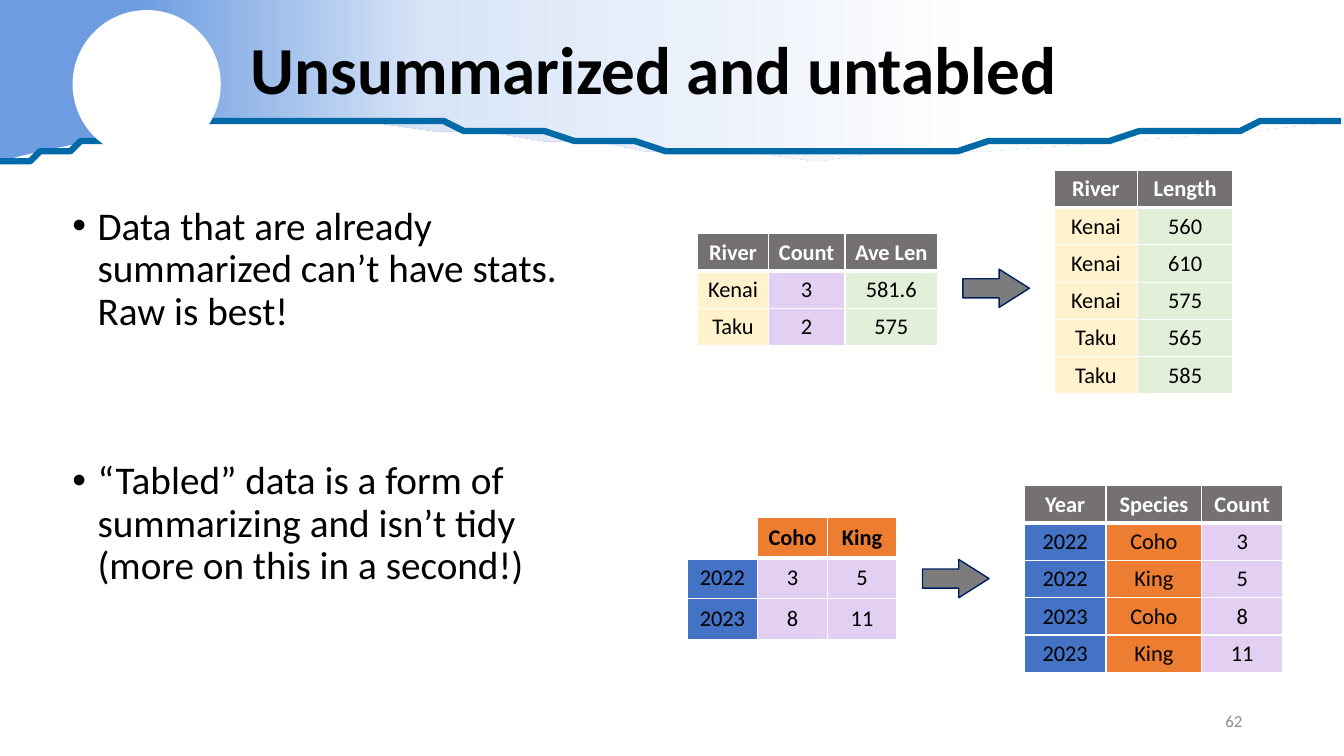
from lxml import etree
from pptx import Presentation
from pptx.dml.color import RGBColor
from pptx.enum.shapes import MSO_SHAPE
from pptx.enum.text import MSO_ANCHOR, PP_ALIGN
from pptx.oxml.ns import qn
from pptx.util import Inches, Pt

ELLIPSE, ARROW = MSO_SHAPE.OVAL, MSO_SHAPE.RIGHT_ARROW
MIDDLE, TOP = MSO_ANCHOR.MIDDLE, MSO_ANCHOR.TOP
LEFT, CENTER, RIGHT = PP_ALIGN.LEFT, PP_ALIGN.CENTER, PP_ALIGN.RIGHT

# Grid of square cells: 133.3 columns by 75 rows
COLS, ROWS = 133.3, 75
CELL = Inches(0.1)
ROW_H = 3.7

BLACK, WHITE, GRAY = "000000", "FFFFFF", "767171"
BLUE, ORANGE, PURPLE = "4472C4", "ED7D31", "E2CFF1"
CREAM, GREEN = "FFF2CC", "E2F0D9"

# Lower edge of the header band, right to left
BAND_EDGE = [
    (133.3, 12), (123.8, 12.9), (111.1, 13.9), (98.2, 14.7), (87.6, 15.3),
    (80.8, 15.5), (74.2, 15.4), (69.2, 15.2), (64, 14.8), (59.1, 14.4),
    (54.3, 13.8), (48.1, 13.2), (43, 12.8), (35.8, 12.1), (32.6, 11.9),
    (28.8, 11.9), (22.8, 12.1), (19, 12.5), (13.6, 13.2), (8.6, 14.2),
    (4.4, 15.1), (0, 16.5)]
# Bezier segments of the wave: start, two controls, end
WAVE = [
    [(0, 16.4), (7.5, 14.4), (15.5, 11.8), (28.7, 11.6)],
    [(28.7, 11.6), (41.9, 11.4), (61.5, 15.1), (79, 15.1)],
    [(79, 15.1), (96.4, 15.2), (133.3, 11.7), (133.3, 11.7)]]


def rgb(color):
    return RGBColor.from_string(color)


def grid(*cells):
    return [int(c * CELL) for c in cells]


def sub(parent, tag, **attrs):
    return etree.SubElement(parent, qn(tag), attrs)


def add_text(tf, text, size=16, color=BLACK, bold=False, align=LEFT,
             bullet=False, before=0, spacing=None, new=False):
    p = tf.add_paragraph() if new else tf.paragraphs[0]
    p.alignment = align
    p.space_before = Pt(before)
    if spacing:
        p.line_spacing = spacing
    if bullet:
        pPr = p._p.get_or_add_pPr()
        pPr.set("marL", str(Inches(0.25)))
        pPr.set("indent", str(-Inches(0.25)))
        sub(pPr, "a:buFont", typeface="Arial")
        sub(pPr, "a:buChar", char="•")
    r = p.add_run()
    r.text = text
    r.font.name, r.font.size, r.font.bold = "Calibri", Pt(size), bold
    r.font.color.rgb = rgb(color)


def add_box(s, box, anchor=TOP):
    tf = s.shapes.add_textbox(*grid(*box)).text_frame
    tf.word_wrap = True
    tf.vertical_anchor = anchor
    return tf


def style(sp, fill=None, line=None, width=1):
    sp.shadow.inherit = False
    if fill:
        sp.fill.solid()
        sp.fill.fore_color.rgb = rgb(fill)
    else:
        sp.fill.background()
    if line:
        sp.line.color.rgb = rgb(line)
        sp.line.width = Pt(width)
    else:
        sp.line.fill.background()


def add_outline(s, points, close):
    fb = s.shapes.build_freeform(*points[0], scale=CELL)
    fb.add_line_segments(points[1:], close=close)
    return fb.convert_to_shape()


def bezier(a, b, c, d, steps=24):
    for i in range(steps + 1):
        t = i / steps
        u = 1 - t
        yield tuple(u**3 * w + 3 * u * u * t * x + 3 * u * t * t * y + t**3 * z
                    for w, x, y, z in zip(a, b, c, d))


def add_header(s):
    # Band fading from blue to white
    band = add_outline(s, [(0, 0), (COLS, 0)] + BAND_EDGE, True)
    style(band)
    band.fill.gradient()
    band.fill.gradient_angle = 0
    stops = band._element.spPr.find(".//" + qn("a:gsLst"))
    for stop in list(stops):
        stops.remove(stop)
    for share, color in ((10, "6D9CE1"), (32, "D9E5F7"), (74, WHITE)):
        gs = sub(stops, "a:gs", pos=str(share * 1000))
        sub(gs, "a:srgbClr", val=color)
    # Wave line and disc
    points = [pt for segment in WAVE for pt in bezier(*segment)]
    style(add_outline(s, points, False), line="0069A8", width=4.5)
    style(s.shapes.add_shape(ELLIPSE, *grid(7.2, 1, 14.7, 14.7)), WHITE)


def add_borders(cell, bottom):
    tcPr = cell._tc.get_or_add_tcPr()
    for side, width in (("L", 1), ("R", 1), ("T", 1), ("B", bottom)):
        ln = sub(tcPr, "a:ln" + side, w=str(Pt(width)))
        sub(sub(ln, "a:solidFill"), "a:srgbClr", val=WHITE)


def add_data_table(s, left, top, widths, rows, fills, head=GRAY,
                   head_color=WHITE, row_h=ROW_H):
    box = grid(left, top, sum(widths), row_h * len(rows))
    tbl = s.shapes.add_table(len(rows), len(widths), *box).table
    tbl.first_row = tbl.horz_banding = False
    for col, width in zip(tbl.columns, grid(*widths)):
        col.width = width
    for i, row in enumerate(rows):
        tbl.rows[i].height = grid(row_h)[0]
        for j, text in enumerate(row):
            cell = tbl.cell(i, j)
            cell.vertical_anchor = MIDDLE
            cell.margin_left = cell.margin_right = Inches(0.05)
            add_borders(cell, 1 if i else 3)
            cell.fill.solid()
            fill = fills[j] if i else head
            cell.fill.fore_color.rgb = rgb(fill if text else WHITE)
            if text:
                add_text(cell.text_frame, text, bold=i == 0, align=CENTER,
                         color=BLACK if i else head_color)


def add_arrow(s, left, top):
    sp = s.shapes.add_shape(ARROW, *grid(left, top, 6.6, 3.8))
    sp.adjustments[0], sp.adjustments[1] = 0.5, 0.79
    style(sp, "7C7C7C", "002060")


def main():
    prs = Presentation()
    prs.slide_width, prs.slide_height = grid(COLS, ROWS)
    s = prs.slides.add_slide(prs.slide_layouts[6])
    add_header(s)

    # Title, bullets and page number
    add_text(add_box(s, (23.9, 0, 109.4, 14.5), MIDDLE),
             "Unsummarized and untabled", size=48, bold=True, spacing=0.9)
    body = add_box(s, (6.2, 20, 52.3, 47.6))
    add_text(body, "Data that are already summarized can’t have stats. "
             "Raw is best!", size=28, bullet=True, spacing=0.9)
    add_text(body, "“Tabled” data is a form of summarizing and isn’t tidy "
             "(more on this in a second!)", size=28, bullet=True,
             spacing=0.9, before=91, new=True)
    add_text(add_box(s, (94.2, 69.5, 30, 4), MIDDLE), "62", size=12,
             color="8C8C8C", align=RIGHT)

    # Summarized to raw
    add_data_table(s, 69.2, 23.2, (7, 7.6, 9.2),
                   [("River", "Count", "Ave Len"), ("Kenai", "3", "581.6"),
                    ("Taku", "2", "575")], (CREAM, PURPLE, GREEN))
    add_arrow(s, 95.5, 26.7)
    add_data_table(s, 104.6, 16.9, (8.2, 9.5),
                   [("River", "Length"), ("Kenai", "560"), ("Kenai", "610"),
                    ("Kenai", "575"), ("Taku", "565"), ("Taku", "585")],
                   (CREAM, GREEN))

    # Tabled to tidy
    add_data_table(s, 68.2, 51.3, (6.9, 7, 6.8),
                   [("", "Coho", "King"), ("2022", "3", "5"),
                    ("2023", "8", "11")], (BLUE, PURPLE, PURPLE),
                   head=ORANGE, head_color=BLACK, row_h=4.05)
    add_arrow(s, 91.5, 55.5)
    add_data_table(s, 101.6, 48.2, (8.1, 9.5, 8),
                   [("Year", "Species", "Count"), ("2022", "Coho", "3"),
                    ("2022", "King", "5"), ("2023", "Coho", "8"),
                    ("2023", "King", "11")], (BLUE, ORANGE, PURPLE))
    prs.save("out.pptx")


if __name__ == "__main__":
    main()
